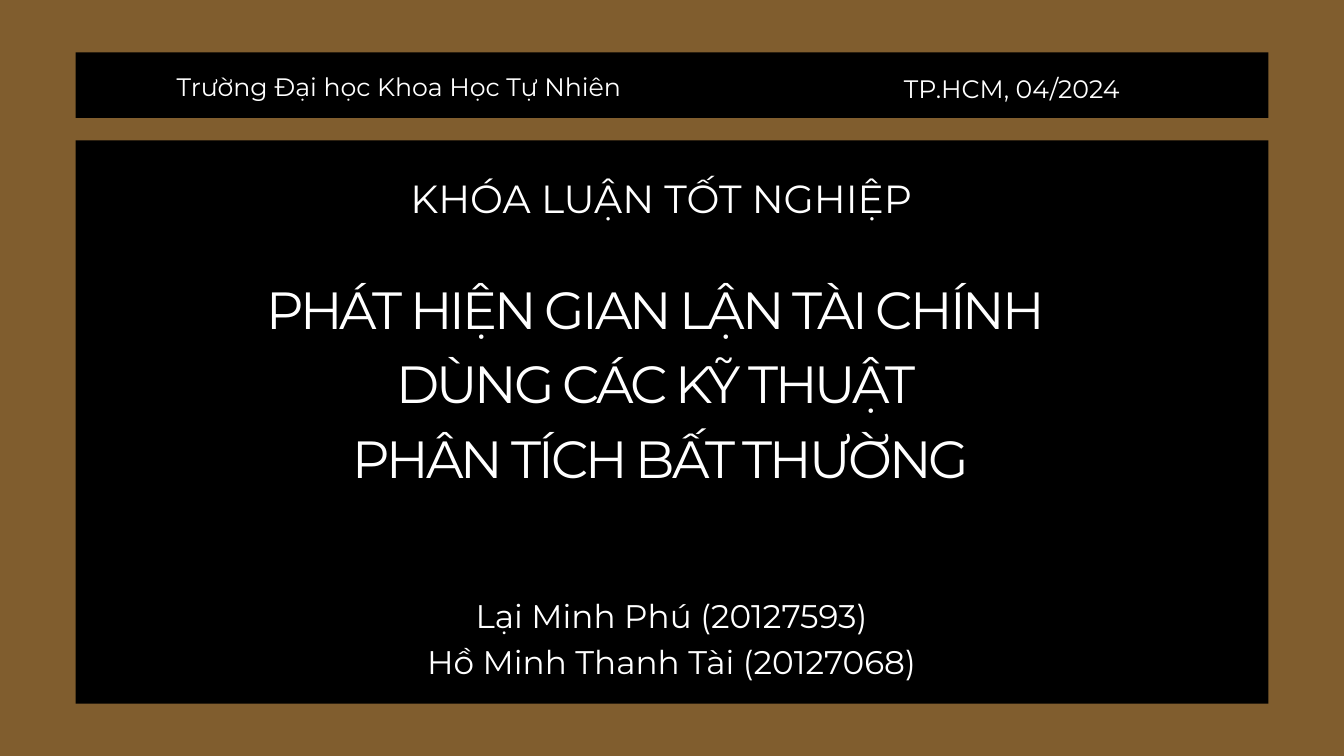
from pptx import Presentation
from pptx.dml.color import RGBColor
from pptx.enum.shapes import MSO_SHAPE as Shape
from pptx.enum.text import MSO_AUTO_SIZE as AutoSize, PP_ALIGN as Align
from pptx.util import Inches, Pt

COLUMNS, ROWS = 160, 90
FONT = "Montserrat"
BROWN, BLACK, WHITE = "805D2E", "000000", "FFFFFF"

deck = Presentation()
deck.slide_width, deck.slide_height = Inches(20), Inches(11.25)
slide = deck.slides.add_slide(deck.slide_layouts[6])


def paint(fill, color):
    fill.solid()
    fill.fore_color.rgb = RGBColor.from_string(color)


def place(column, row, columns, rows):
    cell_width, cell_height = deck.slide_width / COLUMNS, deck.slide_height / ROWS
    return (round(column * cell_width), round(row * cell_height),
            round(columns * cell_width), round(rows * cell_height))


paint(slide.background.fill, BROWN)

for row, rows in [(16.72, 67.04), (6.24, 7.8)]:
    panel = slide.shapes.add_shape(Shape.RECTANGLE, *place(9, row, 142, rows))
    panel.shadow.inherit = False
    paint(panel.fill, BLACK)
    panel.line.fill.background()

title = ["PHÁT HIỆN GIAN LẬN TÀI CHÍNH ", "DÙNG CÁC KỸ THUẬT ", "PHÂN TÍCH BẤT THƯỜNG"]
authors = ["Lại Minh Phú (20127593)", "Hồ Minh Thanh Tài (20127068)"]
texts = [
    (title, (22.8, 31.52, 111.76, 26.16), 56, 1.43, -3.2, Align.CENTER),
    (authors, (49.04, 70.16, 61.84, 10.72), 35, 1.4, 0, Align.CENTER),
    (["Trường Đại học Khoa Học Tự Nhiên"], (21.04, 7.92, 55.2, 4), 27, 1.4, 0, Align.LEFT),
    (["KHÓA LUẬN TỐT NGHIỆP"], (38.48, 19.84, 80.48, 6.24), 42, 1.4, 0, Align.CENTER),
    (["TP.HCM, 04/2024"], (103.44, 8.16, 29.84, 4), 27, 1.4, 0, Align.RIGHT),
]

for lines, area, size, leading, tracking, align in texts:
    frame = slide.shapes.add_textbox(*place(*area)).text_frame
    frame.word_wrap = True
    frame.auto_size = AutoSize.SHAPE_TO_FIT_TEXT
    frame.margin_left = frame.margin_top = frame.margin_right = frame.margin_bottom = 0
    for index, line in enumerate(lines):
        paragraph = frame.add_paragraph() if index else frame.paragraphs[0]
        paragraph.alignment = align
        paragraph.line_spacing = Pt(size * leading)
        run = paragraph.add_run()
        run.text = line
        run.font.name = FONT
        run.font.size = Pt(size)
        paint(run.font.fill, WHITE)
        if tracking:
            run._r.get_or_add_rPr().set("spc", str(round(tracking * 100)))

deck.save("out.pptx")
